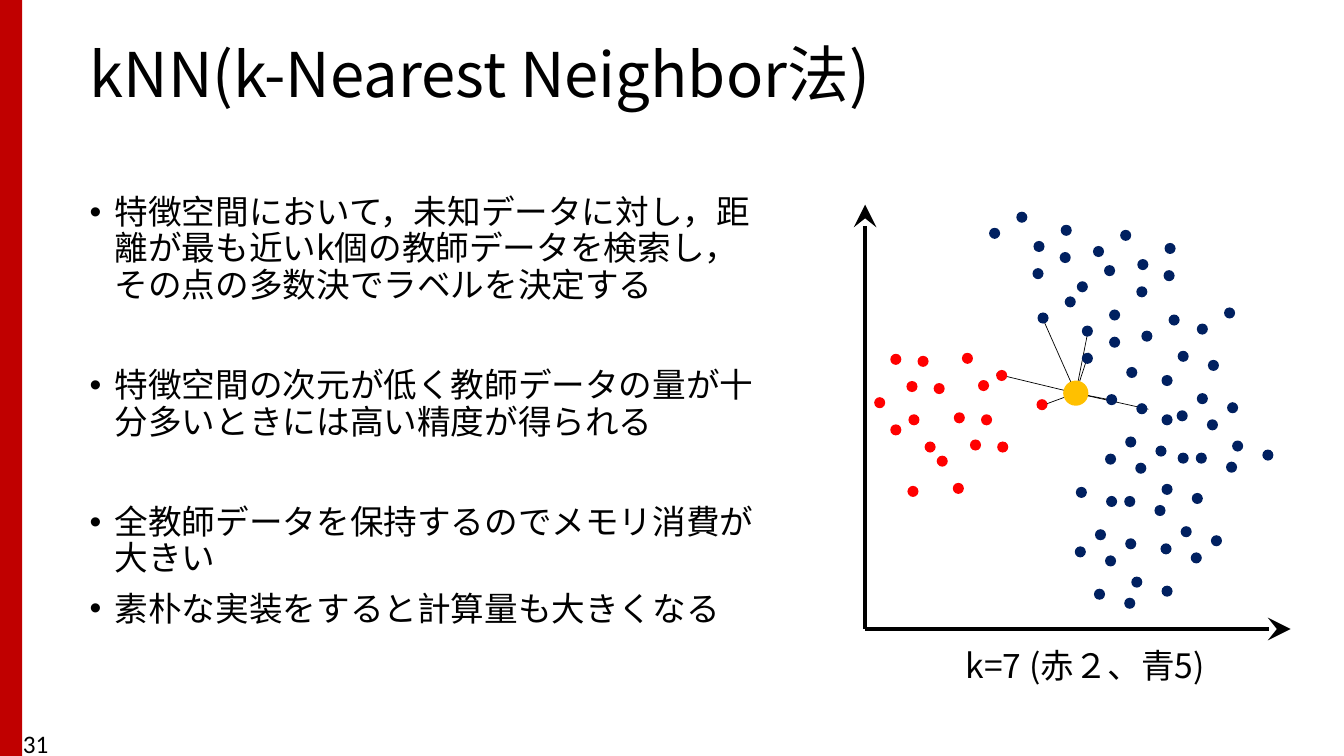
import itertools
import pptx
import pptx.util
import pptx.dml.color
import pptx.enum.shapes
import pptx.enum.text
import pptx.oxml.ns
from lxml import etree
from pptx.util import Inches

COLORS = {
    "bar": "C00000",
    "ink": "000000",
    "red": "FF0000",
    "blue": "002060",
    "unknown": "FFC000",
}
JAPANESE_FONT = "Noto Sans CJK JP"
DOT_SIZE = 0.11
UNKNOWN_SIZE = 0.25
UNKNOWN_CENTER = (10.67, 3.9)
ORIGIN = (8.58, 6.24)
AXIS_ENDS = [(12.8, 6.24), (8.58, 2.03)]
NEIGHBORS = [
    (10.32, 3.11), (11.08, 3.98), (11.39, 4.06), (10.29, 4.04),
    (10.8, 3.5), (10.8, 3.24), (9.88, 3.71),
]

SINGLE = (1, 1, 1)
PAIR = (2, 1, 1)
SQUARE = (2, 2, 1)
CUBE = (2, 2, 2)

CLUSTERS = [
    {
        "color": "red",
        "steps": [(0.16, 0.27), (0.27, 0.02), (0, 0)],
        "patches": [
            (8.83, 3.51, SQUARE), (9.46, 4.09, SQUARE),
            (8.67, 3.94, PAIR), (9.01, 4.11, PAIR),
            (9.54, 3.5, PAIR), (9.29, 4.52, PAIR),
            (9, 4.82, SINGLE), (9.88, 3.67, SINGLE), (10.28, 3.96, SINGLE),
        ],
    },
    {
        "color": "blue",
        "steps": [(0.3, 0.09), (-0.01, 0.59), (0.19, 0.42)],
        "patches": [
            (10.97, 3.91, CUBE), (10.67, 4.83, CUBE), (11.68, 3.48, CUBE),
            (11.52, 4.8, SQUARE), (11.71, 5.22, PAIR),
            (11.22, 5.72, PAIR), (12.22, 4.37, PAIR), (11.68, 4.49, SINGLE),
        ],
    },
    {
        "color": "blue",
        "steps": [(-0.27, 0.16), (0.44, 0.13), (0.43, 0.4)],
        "patches": [
            (10.08, 2.1, CUBE),
            (11.11, 2.28, SQUARE), (11.54, 2.68, PAIR),
            (10.56, 2.94, SQUARE), (11, 3.34, PAIR),
            (11.59, 3.12, PAIR), (12.14, 3.05, PAIR),
            (11.52, 4.11, SINGLE), (11.17, 3.64, SINGLE), (11.52, 3.72, SINGLE),
        ],
    },
]

TOPIC_GAP = 46
ITEM_GAP = 10
POINTS = [
    ("特徴空間において，未知データに対し，距離が最も近いk個の教師データを検索し，その点の多数決でラベルを決定する", 0),
    ("特徴空間の次元が低く教師データの量が十分多いときには高い精度が得られる", TOPIC_GAP),
    ("全教師データを保持するのでメモリ消費が大きい", TOPIC_GAP),
    ("素朴な実装をすると計算量も大きくなる", ITEM_GAP),
]


def rgb(name):
    return pptx.dml.color.RGBColor.from_string(COLORS[name])


def add_xml(parent, tag, **attributes):
    return etree.SubElement(parent, pptx.oxml.ns.qn(tag), attributes)


def add_filled(page, kind, left, top, width, height, color):
    shape = page.shapes.add_shape(
        kind, Inches(left), Inches(top), Inches(width), Inches(height))
    shape.shadow.inherit = False
    shape.fill.solid()
    shape.fill.fore_color.rgb = rgb(color)
    shape.line.fill.background()


def add_dot(page, left, top, size, color):
    oval = pptx.enum.shapes.MSO_SHAPE.OVAL
    add_filled(page, oval, left, top, size, size, color)


def add_line(page, start, end, width, arrow=False):
    line = page.shapes.add_connector(
        pptx.enum.shapes.MSO_CONNECTOR.STRAIGHT,
        *[Inches(value) for value in start + end])
    line.line.color.rgb = rgb("ink")
    line.line.width = pptx.util.Pt(width)
    if arrow:
        outline = line.line._get_or_add_ln()
        add_xml(outline, "a:tailEnd", type="stealth", w="lg", len="lg")
    add_xml(line._element.spPr, "a:effectLst")


def add_box(page, left, top, width, height):
    box = page.shapes.add_textbox(
        Inches(left), Inches(top), Inches(width), Inches(height))
    box.text_frame.word_wrap = True
    return box.text_frame


def style_text(para, text, size, font=JAPANESE_FONT):
    para.text = text
    para.font.size = pptx.util.Pt(size)
    para.font.color.rgb = rgb("ink")
    para.font.name = font
    properties = para._p.pPr.find(pptx.oxml.ns.qn("a:defRPr"))
    add_xml(properties, "a:ea", typeface=font)


def add_title(page):
    frame = add_box(page, 0.79, 0.37, 12.05, 0.8)
    frame.vertical_anchor = pptx.enum.text.MSO_ANCHOR.MIDDLE
    para = frame.paragraphs[0]
    para.line_spacing = 0.9
    style_text(para, "kNN(k-Nearest Neighbor法)", 44)


def add_bullets(page):
    frame = add_box(page, 0.79, 1.89, 6.94, 4.81)
    for index, (text, space) in enumerate(POINTS):
        para = frame.add_paragraph() if index else frame.paragraphs[0]
        para.line_spacing = 0.9
        para.space_before = pptx.util.Pt(space)
        layout = para._p.get_or_add_pPr()
        layout.set("marL", str(Inches(0.25)))
        layout.set("indent", str(Inches(-0.25)))
        add_xml(layout, "a:buFont", typeface="Arial")
        add_xml(layout, "a:buChar", char="•")
        style_text(para, text, 24)


def add_patch(page, left, top, counts, steps, color):
    for cell in itertools.product(*[range(count) for count in counts]):
        shift_x = sum(index * step[0] for index, step in zip(cell, steps))
        shift_y = sum(index * step[1] for index, step in zip(cell, steps))
        add_dot(page, left + shift_x, top + shift_y, DOT_SIZE, color)


def add_scatter(page):
    for neighbor in NEIGHBORS:
        add_line(page, neighbor, UNKNOWN_CENTER, 0.5)
    for end in AXIS_ENDS:
        add_line(page, ORIGIN, end, 3.25, arrow=True)
    for cluster in CLUSTERS:
        for left, top, counts in cluster["patches"]:
            add_patch(page, left, top, counts, cluster["steps"], cluster["color"])
    left, top = [value - UNKNOWN_SIZE / 2 for value in UNKNOWN_CENTER]
    add_dot(page, left, top, UNKNOWN_SIZE, "unknown")
    caption = add_box(page, 9.48, 6.35, 2.83, 0.5)
    style_text(caption.paragraphs[0], "k=7 (赤２、青5)", 24)


def main():
    deck = pptx.Presentation()
    deck.slide_width = Inches(13.33)
    deck.slide_height = Inches(7.5)
    page = deck.slides.add_slide(deck.slide_layouts[6])
    rectangle = pptx.enum.shapes.MSO_SHAPE.RECTANGLE
    add_filled(page, rectangle, 0, 0, 0.22, 7.5, "bar")
    add_title(page)
    add_bullets(page)
    add_scatter(page)
    number = add_box(page, 0.13, 7.18, 3, 0.4)
    style_text(number.paragraphs[0], "31", 18, "Calibri")
    deck.save("out.pptx")


if __name__ == "__main__":
    main()
